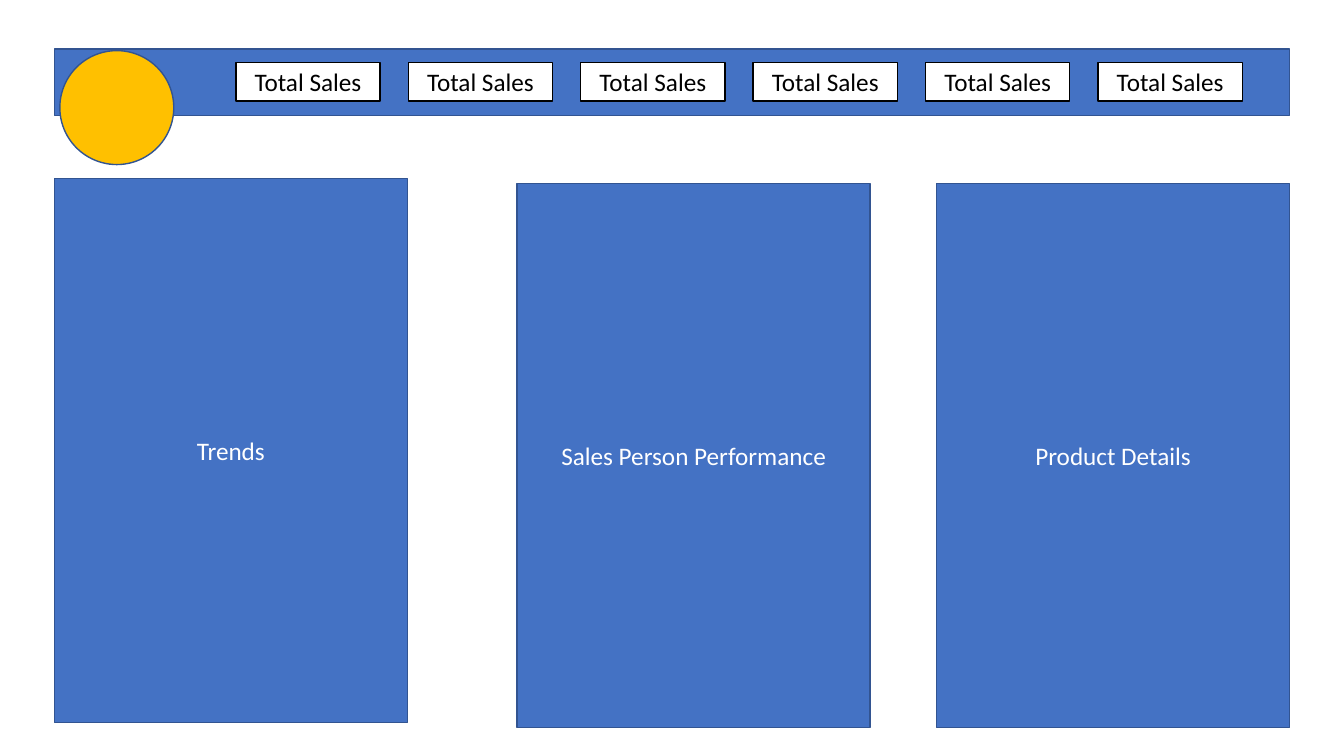
from dataclasses import dataclass

from pptx import Presentation
from pptx.dml.color import RGBColor
from pptx.enum.shapes import MSO_SHAPE
from pptx.enum.text import MSO_ANCHOR, PP_ALIGN
from pptx.slide import Slide
from pptx.util import Inches, Pt

RECTANGLE = MSO_SHAPE.RECTANGLE
CIRCLE = MSO_SHAPE.FLOWCHART_CONNECTOR
MIDDLE = MSO_ANCHOR.MIDDLE
CENTER = PP_ALIGN.CENTER

BLUE = RGBColor(0x44, 0x72, 0xC4)
DARK_BLUE = RGBColor(0x32, 0x54, 0x91)
GOLD = RGBColor(0xFF, 0xC0, 0x00)
WHITE = RGBColor(0xFF, 0xFF, 0xFF)
BLACK = RGBColor(0x00, 0x00, 0x00)

SLIDE_WIDTH, SLIDE_HEIGHT = Inches(13.33), Inches(7.5)
BLANK_LAYOUT = 6

# Positions and sizes are percentages of the slide's width or height
MARGIN = 4.05
KPI_COUNT, KPI_LEFT, KPI_PITCH = 6, 17.55, 12.83
PANEL_WIDTH, PANEL_HEIGHT = 26.26, 72


@dataclass(frozen=True)
class Block:
    left: float
    top: float
    width: float
    height: float
    label: str = ""
    fill: RGBColor = BLUE
    outline: RGBColor = DARK_BLUE
    text_color: RGBColor = WHITE
    geometry: MSO_SHAPE = RECTANGLE


def across(percent: float) -> int:
    return round(SLIDE_WIDTH * percent / 100)


def down(percent: float) -> int:
    return round(SLIDE_HEIGHT * percent / 100)


def draw_block(slide: Slide, block: Block) -> None:
    shape = slide.shapes.add_shape(
        block.geometry, across(block.left), down(block.top),
        across(block.width), down(block.height))
    shape.shadow.inherit = False
    shape.fill.solid()
    shape.fill.fore_color.rgb = block.fill
    shape.line.color.rgb = block.outline
    shape.line.width = Pt(1)
    if not block.label:
        return
    frame = shape.text_frame
    frame.word_wrap = True
    frame.vertical_anchor = MIDDLE
    paragraph = frame.paragraphs[0]
    paragraph.alignment = CENTER
    run = paragraph.add_run()
    run.text = block.label
    run.font.name = "Calibri"
    run.font.size = Pt(18)
    run.font.color.rgb = block.text_color


def main() -> None:
    deck = Presentation()
    deck.slide_width, deck.slide_height = SLIDE_WIDTH, SLIDE_HEIGHT
    dashboard = deck.slides.add_slide(deck.slide_layouts[BLANK_LAYOUT])

    # Header bar, its key figures and the round badge
    header = Block(MARGIN, 6.5, 100 - 2 * MARGIN, 8.8)
    key_figures = [
        Block(KPI_LEFT + i * KPI_PITCH, 8.3, 10.73, 5.07,
              "Total Sales", WHITE, BLACK, BLACK)
        for i in range(KPI_COUNT)
    ]
    badge = Block(4.45, 6.7, 8.48, 15.07, fill=GOLD, geometry=CIRCLE)

    # Report panels
    panels = [
        Block(left, top, PANEL_WIDTH, PANEL_HEIGHT, label)
        for left, top, label in (
            (MARGIN, 23.6, "Trends"),
            (38.48, 24.27, "Sales Person Performance"),
            (100 - MARGIN - PANEL_WIDTH, 24.27, "Product Details"),
        )
    ]

    for block in (header, *key_figures, badge, *panels):
        draw_block(dashboard, block)

    deck.save("out.pptx")


if __name__ == "__main__":
    main()
